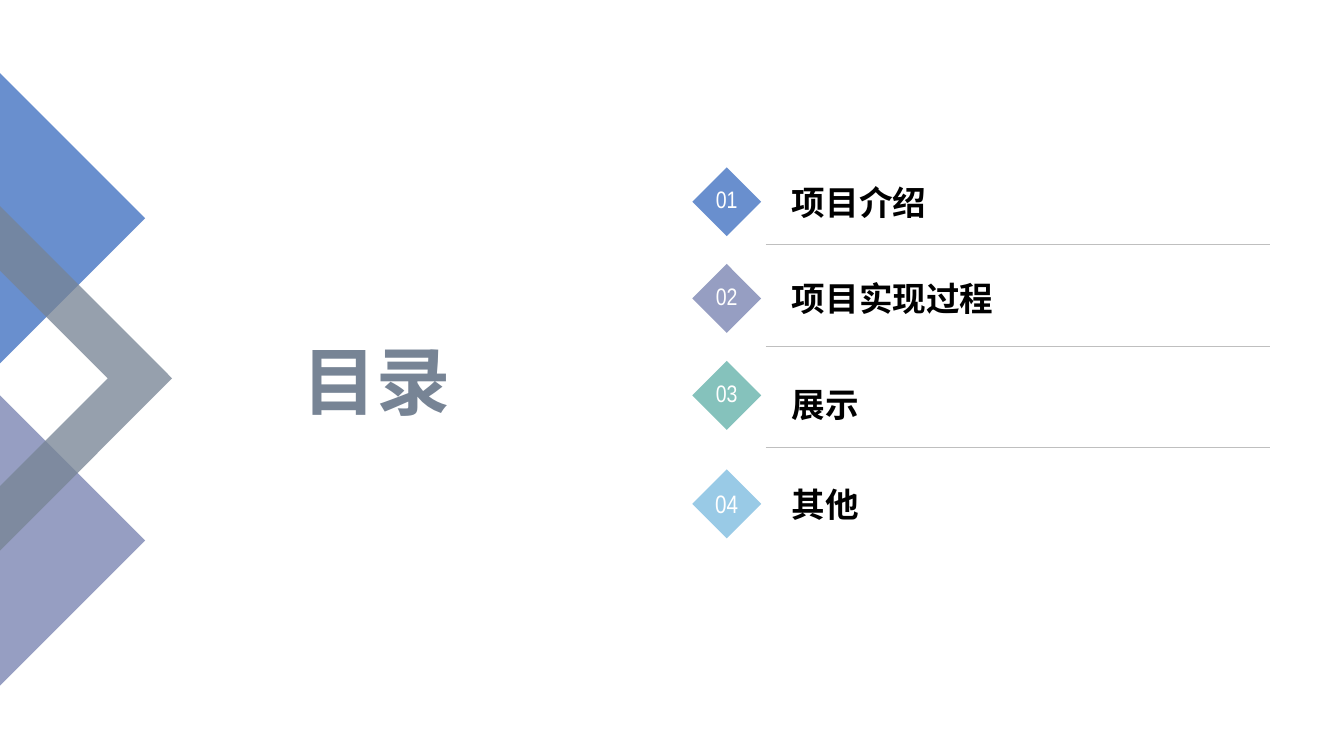
from lxml.etree import SubElement
from pptx import Presentation
from pptx.dml.color import RGBColor
from pptx.enum.shapes import MSO_CONNECTOR, MSO_SHAPE
from pptx.enum.text import MSO_ANCHOR, PP_ALIGN
from pptx.oxml.ns import qn
from pptx.util import Pt

COLORS = {
    "blue": "698FCE", "lavender": "969EC2", "teal": "85C2BC", "sky": "99CAE6",
    "slate": "778495", "rule": "BFBFBF", "black": "000000", "white": "FFFFFF",
}
# number, title, colour, diamond top, title top, number size, line spacing
ENTRIES = [
    ("01", "项目介绍", "blue", 0, 5.8, 17, 0.8),
    ("02", "项目实现过程", "lavender", 69.1, 74.9, 17, 0.8),
    ("03", "展示", "teal", 138.3, 150.5, 17, 0.8),
    ("04", "其他", "sky", 215.8, 221.8, 18, 1.0),
]


def color(name):
    return RGBColor.from_string(COLORS[name])


def paint(shape, fill):
    shape.shadow.inherit = False
    shape.fill.solid()
    shape.fill.fore_color.rgb = color(fill)
    shape.line.fill.background()


def write(shape, text, size, fill, font="Arial", bold=False,
          align=PP_ALIGN.LEFT, anchor=MSO_ANCHOR.MIDDLE, wrap=True):
    frame = shape.text_frame
    frame.word_wrap = wrap
    frame.vertical_anchor = anchor
    paragraph = frame.paragraphs[0]
    paragraph.text = text
    paragraph.alignment = align
    paragraph.font.name = font
    paragraph.font.size = Pt(size)
    paragraph.font.bold = bold
    paragraph.font.color.rgb = color(fill)
    return paragraph


def add_polygon(slide, points, fill):
    start, *others = [(Pt(x), Pt(y)) for x, y in points]
    builder = slide.shapes.build_freeform(*start)
    builder.add_line_segments(others, close=True)
    shape = builder.convert_to_shape()
    paint(shape, fill)
    return shape


def add_edge_ornament(slide, left, middle):
    """Two triangles and a translucent chevron, pointing right from the edge."""
    reach, outer, inner = 103.7, 123, 77
    for center, fill in ((middle + 115.8, "lavender"), (middle - 114.4, "blue")):
        add_polygon(slide, [(left, center - reach), (left + reach, center),
                            (left, center + reach)], fill)
    chevron = add_polygon(slide, [
        (left, middle - outer), (left + outer, middle), (left, middle + outer),
        (left, middle + inner), (left + inner, middle), (left, middle - inner),
    ], "slate")
    rgb = chevron.fill._xPr.find(qn("a:solidFill")).find(qn("a:srgbClr"))
    SubElement(rgb, qn("a:alpha"), val="77000")


def add_heading(slide, left, top, width, height):
    box = slide.shapes.add_textbox(Pt(left), Pt(top), Pt(width), Pt(height))
    write(box, "目录", 53, "slate", bold=True, align=PP_ALIGN.CENTER)


def add_rule(slide, left, right, y):
    rule = slide.shapes.add_connector(
        MSO_CONNECTOR.STRAIGHT, Pt(left), Pt(y), Pt(right), Pt(y))
    rule.line.color.rgb = color("rule")
    rule.line.width = Pt(0.25)
    SubElement(rule._element.spPr, qn("a:effectLst"))


def add_contents(slide, left, top, width):
    """Numbered diamonds with titles, and rules between them."""
    side, title_left, rule_left = 49.2, left + 64.1, left + 52.6
    right = left + width
    for number, title, fill, diamond_top, title_top, size, spacing in ENTRIES:
        diamond = slide.shapes.add_shape(
            MSO_SHAPE.DIAMOND, Pt(left), Pt(top + diamond_top), Pt(side), Pt(side))
        paint(diamond, fill)
        paragraph = write(diamond, number, size, "white", "Arial Narrow",
                          align=PP_ALIGN.CENTER, wrap=False)
        paragraph.line_spacing = spacing
        box = slide.shapes.add_textbox(
            Pt(title_left), Pt(top + title_top), Pt(right - title_left), Pt(36.7))
        write(box, title, 24, "black", bold=True, anchor=MSO_ANCHOR.BOTTOM)
    for index in range(len(ENTRIES) - 1):
        add_rule(slide, rule_left, right, top + 54.7 + 72.75 * index)


def main():
    presentation = Presentation()
    presentation.slide_width = Pt(960.48)
    presentation.slide_height = Pt(540)
    slide = presentation.slides.add_slide(presentation.slide_layouts[6])
    add_edge_ornament(slide, 0, 270.3)
    add_heading(slide, 121.7, 234.7, 294.5, 72.7)
    add_contents(slide, 494.8, 119.5, 412.6)
    presentation.save("out.pptx")


if __name__ == "__main__":
    main()
